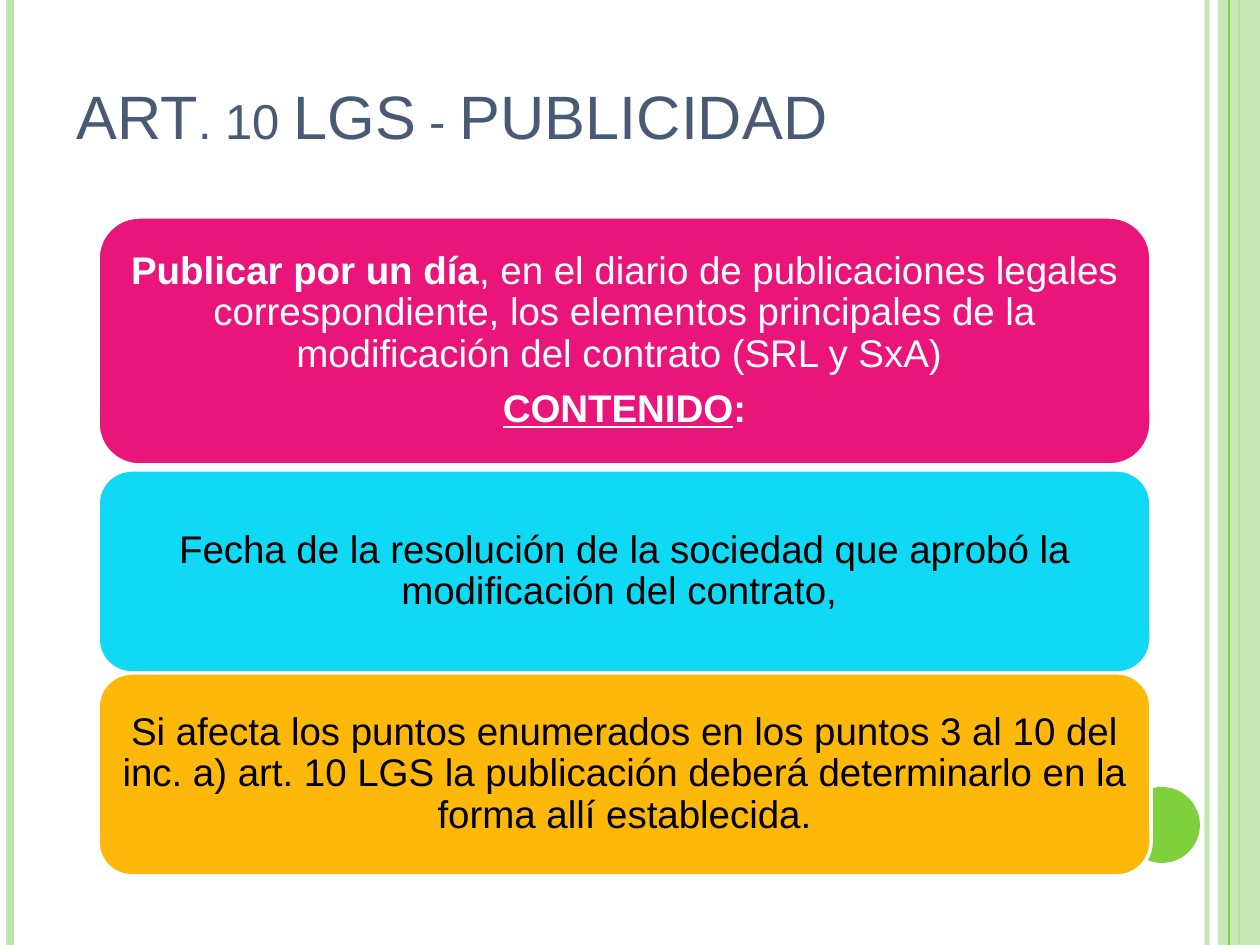
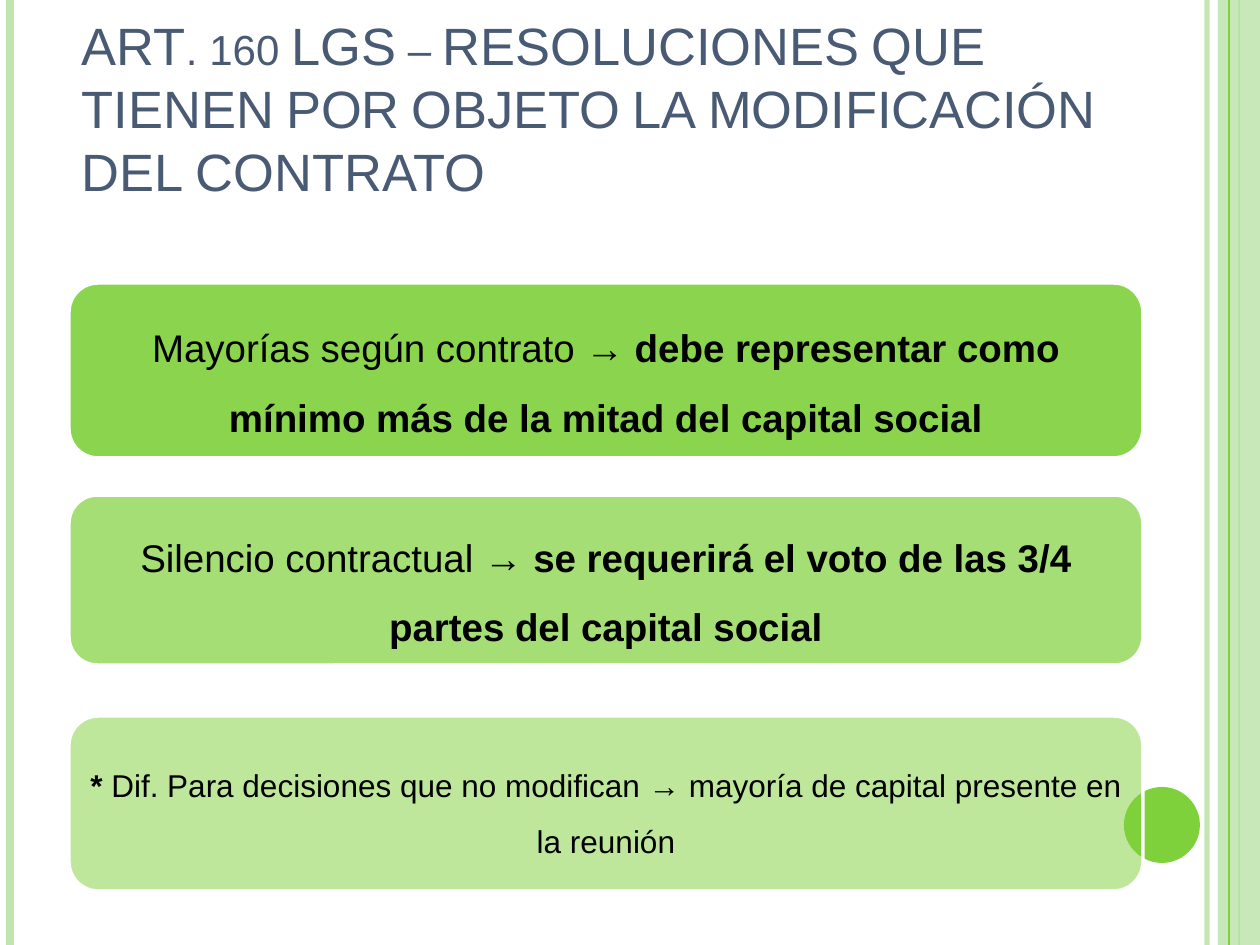
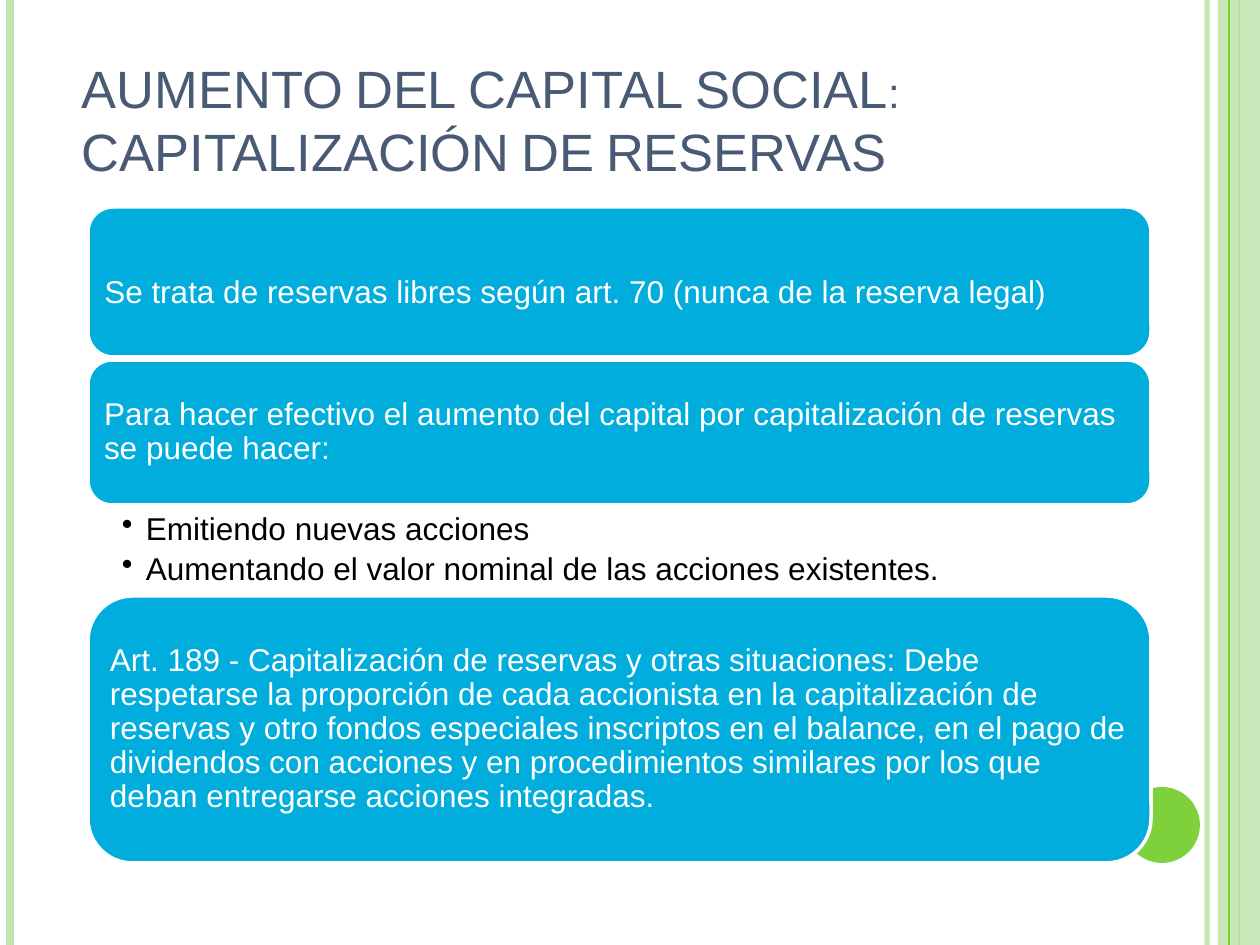
from lxml import etree
from pptx import Presentation
from pptx.dml.color import RGBColor
from pptx.enum.shapes import MSO_CONNECTOR, MSO_SHAPE
from pptx.enum.text import MSO_ANCHOR, PP_ALIGN
from pptx.oxml.ns import qn
from pptx.util import Emu, Pt

RECT, ROUND, OVAL = MSO_SHAPE.RECTANGLE, MSO_SHAPE.ROUNDED_RECTANGLE, MSO_SHAPE.OVAL
STRAIGHT = MSO_CONNECTOR.STRAIGHT
LEFT, CENTER = PP_ALIGN.LEFT, PP_ALIGN.CENTER
TOP, MIDDLE, BOTTOM = MSO_ANCHOR.TOP, MSO_ANCHOR.MIDDLE, MSO_ANCHOR.BOTTOM

WHITE = RGBColor(0xFF, 0xFF, 0xFF)
BLACK = RGBColor(0x00, 0x00, 0x00)
SLATE = RGBColor(0x49, 0x5A, 0x74)
GREEN = RGBColor(0x7F, 0xD1, 0x3B)
PALE = RGBColor(0xC0, 0xE5, 0xAF)
PINK = RGBColor(0xEA, 0x15, 0x7A)
CYAN = RGBColor(0x0F, 0xD9, 0xF4)
AMBER = RGBColor(0xFE, 0xB8, 0x0A)
BLUE = RGBColor(0x00, 0xAD, 0xDC)

FONT = "Arial"
W, H = 1260, 945

# Band lines: x, colour, width in points, opacity in percent
LINES_BELOW = [(1207, PALE, 3, 93), (10, PALE, 4.5, 100), (1239, GREEN, 1.5, 100)]
LINES_ABOVE = [(1229, GREEN, 0.75, 100)]

# A run is (text, style), where style holds "b" for bold and "u" for underline.
# A box is top, height, fill, opacity, text colour, size, line spacing, paragraphs.
SLIDES = [
    {
        "title": "ART. 10 LGS - PUBLICIDAD",
        "title_at": (64, 0, 1029, 158), "title_size": 35,
        "left": 98, "width": 1053, "align": CENTER,
        "boxes": [
            (217, 248, PINK, 100, WHITE, 22, 0.9, [
                [("Publicar por un día", "b"),
                 (", en el diario de publicaciones legales correspondiente, los elementos "
                  "principales de la modificación del contrato (SRL y SxA) ", "")],
                [("CONTENIDO", "bu"), (":", "b")]]),
            (470, 203, CYAN, 100, BLACK, 22, 0.9, [
                [("Fecha de la resolución de la sociedad que aprobó la modificación "
                  "del contrato, ", "")]]),
            (673, 203, AMBER, 100, BLACK, 22, 0.9, [
                [("Si afecta los puntos enumerados en los puntos 3 al 10 del inc. a) art. 10 "
                  "LGS la publicación deberá determinarlo en la forma allí establecida.", "")]]),
        ],
    },
    {
        "title": "ART. 160 LGS – RESOLUCIONES QUE TIENEN POR OBJETO LA MODIFICACIÓN DEL CONTRATO",
        "title_at": (69, 29, 1109, 179), "title_size": 30,
        "left": 69, "width": 1074, "align": CENTER,
        "boxes": [
            (283, 175, GREEN, 90, BLACK, 22, 1.5, [
                [("Mayorías según contrato ", ""),
                 ("→ debe representar como mínimo más de la mitad del capital social", "b")]]),
            (495, 170, GREEN, 70, BLACK, 22, 1.5, [
                [("Silencio contractual → ", ""),
                 ("se requerirá el voto de las 3/4 partes del capital social", "b")]]),
            (716, 175, GREEN, 50, BLACK, 18, 1.5, [
                [("* ", "b"),
                 ("Dif. Para decisiones que no modifican → mayoría de capital presente "
                  "en la reunión", "")]]),
        ],
    },
    {
        "title": "AUMENTO DEL CAPITAL SOCIAL: CAPITALIZACIÓN DE RESERVAS",
        "title_at": (69, 9, 1109, 179), "title_size": 30,
        "left": 88, "width": 1063, "align": LEFT,
        "boxes": [
            (207, 150, BLUE, 100, WHITE, 18, 1.5, [
                [("Se trata de reservas libres según art. 70 (nunca de la reserva legal)", "")]]),
            (360, 145, BLUE, 100, WHITE, 18, 0.9, [
                [("Para hacer efectivo el aumento del capital por capitalización de reservas "
                  "se puede hacer:", "")]]),
            (596, 267, BLUE, 100, WHITE, 18, 0.9, [
                [("Art. 189 - Capitalización de reservas y otras situaciones: Debe respetarse "
                  "la proporción de cada accionista en la capitalización de reservas y otro "
                  "fondos especiales inscriptos en el balance, en el pago de dividendos con "
                  "acciones y en procedimientos similares por los que deban entregarse "
                  "acciones integradas.", "")]]),
        ],
        "bullets_at": (88, 509, 1063, 115),
        "bullets": ["Emitiendo nuevas acciones",
                    "Aumentando el valor nominal de las acciones existentes."],
    },
]


def px(n):
    return Emu(round(n * 914400 / 126))


def set_opacity(fill_parent, percent):
    if percent < 100:
        color = next(fill_parent.iter(qn("a:srgbClr")))
        etree.SubElement(color, qn("a:alpha"), val=str(percent * 1000))


def add_line(s, x, color, width, opacity):
    c = s.shapes.add_connector(STRAIGHT, px(x), 0, px(x), px(H))
    c.line.color.rgb = color
    c.line.width = Pt(width)
    set_opacity(c.line._get_or_add_ln(), opacity)
    etree.SubElement(c._element.spPr, qn("a:effectLst"))


def add_shape(s, kind, at, fill, opacity=100, outlined=False):
    sp = s.shapes.add_shape(kind, *map(px, at))
    sp.shadow.inherit = False
    sp.fill.solid()
    sp.fill.fore_color.rgb = fill
    set_opacity(sp._element.spPr, opacity)
    if outlined:
        sp.line.color.rgb = WHITE
        sp.line.width = Pt(2)
    else:
        sp.line.fill.background()
    return sp


def set_frame(sp, anchor, left, top, right, bottom):
    tf = sp.text_frame
    tf.word_wrap = True
    tf.vertical_anchor = anchor
    tf.margin_left, tf.margin_top = px(left), px(top)
    tf.margin_right, tf.margin_bottom = px(right), px(bottom)
    return tf


def add_paragraphs(tf, paragraphs, size, color, align=LEFT, spacing=1.0, after=0.0):
    """Fill the frame; after is the space below a paragraph as a share of the size."""
    for i, runs in enumerate(paragraphs):
        p = tf.add_paragraph() if i else tf.paragraphs[0]
        p.alignment = align
        p.line_spacing = spacing
        p.space_after = Pt(size * after)
        for text, style in runs:
            r = p.add_run()
            r.text = text
            r.font.name = FONT
            r.font.size = Pt(size)
            r.font.color.rgb = color
            r.font.bold = "b" in style
            r.font.underline = "u" in style


def add_bands(s):
    for line in LINES_BELOW:
        add_line(s, *line)
    add_shape(s, RECT, (1218, 0, W - 1218, H), PALE, 87)
    for line in LINES_ABOVE:
        add_line(s, *line)
    add_shape(s, OVAL, (1124, 787, 76, 76), GREEN)


def add_title(s, text, at, size):
    tf = set_frame(s.shapes.add_textbox(*map(px, at)), BOTTOM, 13, 6, 13, 6)
    add_paragraphs(tf, [[(text, "")]], size, SLATE)
    tf.paragraphs[0].runs[0].font._element.set("cap", "small")


def add_bullets(s, items, at):
    tf = set_frame(s.shapes.add_textbox(*map(px, at)), TOP, 34, 4, 18, 4)
    add_paragraphs(tf, [[(item, "")] for item in items], 18, BLACK, spacing=0.9, after=0.2)
    for p in tf.paragraphs:
        pPr = p._p.get_or_add_pPr()
        pPr.set("marL", str(px(24)))
        pPr.set("indent", str(-px(24)))
        etree.SubElement(pPr, qn("a:buChar"), char="•")


def main():
    prs = Presentation()
    prs.slide_width, prs.slide_height = px(W), px(H)
    for content in SLIDES:
        s = prs.slides.add_slide(prs.slide_layouts[6])
        add_bands(s)
        add_title(s, content["title"], content["title_at"], content["title_size"])
        for top, height, fill, opacity, color, size, spacing, paragraphs in content["boxes"]:
            at = (content["left"], top, content["width"], height)
            sp = add_shape(s, ROUND, at, fill, opacity, outlined=True)
            tf = set_frame(sp, MIDDLE, *[size // 2] * 4)
            add_paragraphs(tf, paragraphs, size, color, content["align"], spacing, 0.35)
        if "bullets" in content:
            add_bullets(s, content["bullets"], content["bullets_at"])
    prs.save("out.pptx")


if __name__ == "__main__":
    main()
